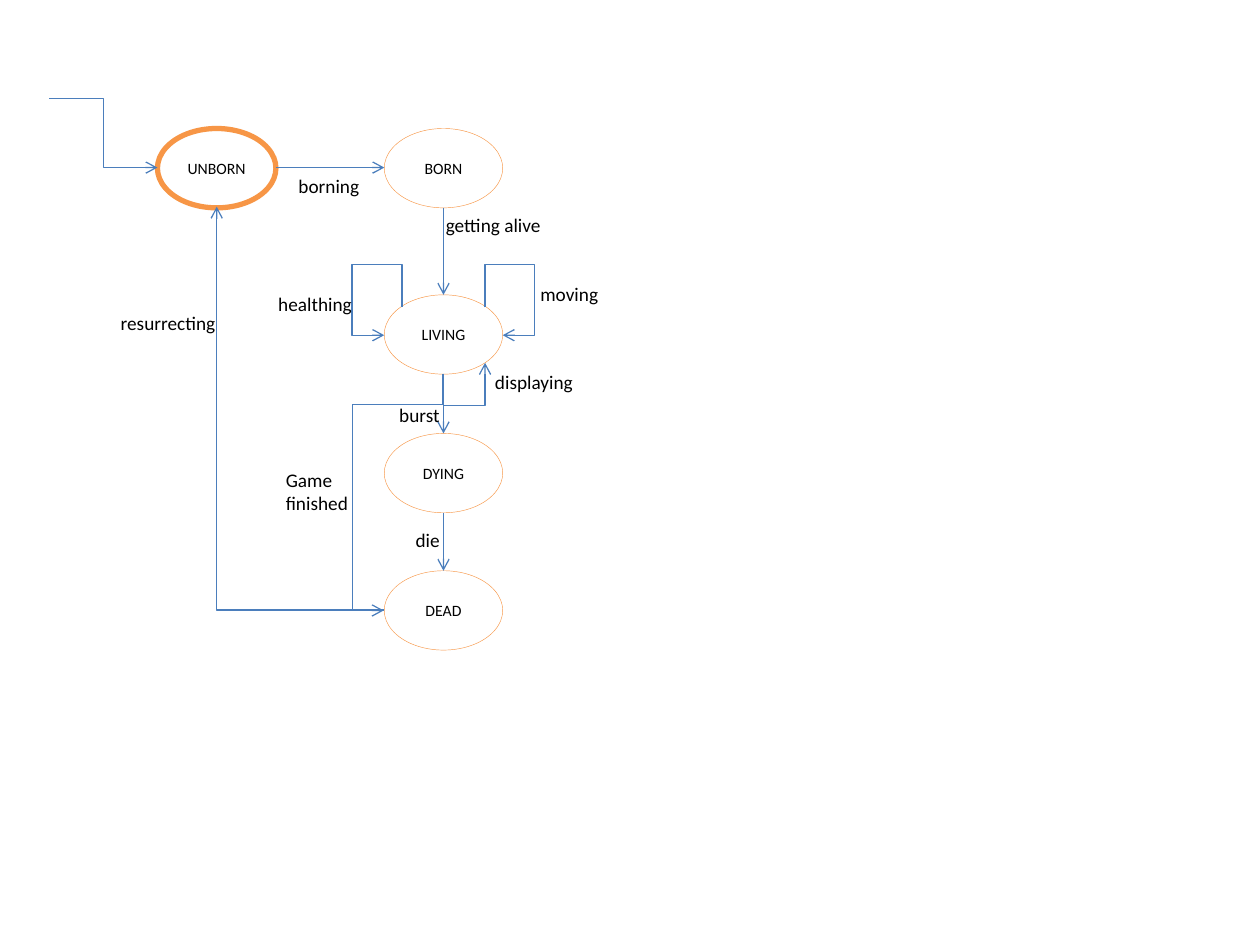
"""Build a state diagram slide of a creature's life cycle."""
from dataclasses import dataclass

import pptx
import pptx.dml.color
import pptx.enum.shapes
import pptx.enum.text
import pptx.oxml
import pptx.oxml.ns
import pptx.util
from lxml import etree

Inches = pptx.util.Inches
CONNECTOR = pptx.enum.shapes.MSO_CONNECTOR
ORANGE, BLUE, WHITE, BLACK = "F79646", "4B7EBC", "FFFFFF", "000000"
STATE_WIDTH, STATE_HEIGHT = 0.94, 0.63
LEFT_COLUMN, RIGHT_COLUMN = 1.25, 3.05
TOP_ROW, LIVING_ROW, DYING_ROW, DEAD_ROW = 1.02, 2.34, 3.44, 4.53
AXIS = RIGHT_COLUMN + STATE_WIDTH / 2


@dataclass
class State:
    """An ellipse naming one state."""
    name: str
    left: float
    top: float
    border: float = 0.25


@dataclass
class Arrow:
    """A straight transition between two points."""
    start: tuple[float, float]
    end: tuple[float, float]


@dataclass
class Elbow:
    """A bent transition given by its unrotated frame."""
    frame: tuple[float, float, float, float]
    preset: str = "bentConnector3"
    rotation: int = 0
    flips: str = ""
    bends: tuple[float, ...] = ()


@dataclass
class Label:
    """A transition caption."""
    text: str
    left: float
    top: float
    width: float
    height: float = 0.29


STATES = [
    State("UNBORN", LEFT_COLUMN, TOP_ROW, 3),
    State("BORN", RIGHT_COLUMN, TOP_ROW),
    State("LIVING", RIGHT_COLUMN, LIVING_ROW),
    State("DYING", RIGHT_COLUMN, DYING_ROW),
    State("DEAD", RIGHT_COLUMN, DEAD_ROW),
]
ARROWS = [Arrow((LEFT_COLUMN + STATE_WIDTH, 1.33), (RIGHT_COLUMN, 1.33))] + [
    Arrow((AXIS, upper + STATE_HEIGHT), (AXIS, lower))
    for upper, lower in [(TOP_ROW, LIVING_ROW), (LIVING_ROW, DYING_ROW), (DYING_ROW, DEAD_ROW)]
]
LOOP_BENDS = (-1.55, 2.82)
ELBOWS = [
    Elbow((0.39, 0.78, 0.86, 0.55), bends=(0.5,)),
    Elbow((1.72, 1.64, 1.33, 3.2), "bentConnector2", 180),
    Elbow((3.81, 2.48, 0.22, 0.14), "bentConnector4", 270, "H", LOOP_BENDS),
    Elbow((3.64, 2.76, 0.09, 0.33), "bentConnector3", 90, "HV", (-2.73,)),
    Elbow((3.01, 2.48, 0.22, 0.14), "bentConnector4", 270, "HV", LOOP_BENDS),
    Elbow((2.34, 3.67, 1.88, 0.47), "bentConnector4", 90, "", (0.13, 1.53)),
]
LABELS = [
    Label("borning", 2.27, 1.33, 0.69),
    Label("getting alive", 3.44, 1.64, 0.97),
    Label("moving", 4.19, 2.19, 0.66),
    Label("displaying", 3.83, 2.89, 0.82),
    Label("healthing", 2.11, 2.27, 0.79),
    Label("burst", 3.07, 3.15, 0.53),
    Label("die", 3.2, 4.14, 0.39),
    Label("resurrecting", 0.86, 2.42, 0.96),
    Label("Game\nfinished", 2.17, 3.67, 0.7, 0.47),
]


def color(value: str) -> pptx.dml.color.RGBColor:
    """Turn a hex string into a colour."""
    return pptx.dml.color.RGBColor.from_string(value)


def write_text(text_frame, text: str, *, size: float, align=None) -> None:
    """Write text, one paragraph per line, in the slide's font."""
    text_frame.text = text
    for paragraph in text_frame.paragraphs:
        paragraph.alignment = align
        for run in paragraph.runs:
            run.font.name = "Calibri"
            run.font.size = pptx.util.Pt(size)
            run.font.color.rgb = color(BLACK)


def set_line(line, value: str, width: float) -> None:
    """Set the colour and width of a line."""
    line.color.rgb = color(value)
    line.width = pptx.util.Pt(width)


def draw_state(slide, state: State) -> None:
    """Draw a state as a captioned ellipse."""
    shape = slide.shapes.add_shape(
        pptx.enum.shapes.MSO_SHAPE.OVAL, Inches(state.left), Inches(state.top),
        Inches(STATE_WIDTH), Inches(STATE_HEIGHT))
    shape.shadow.inherit = False
    shape.fill.solid()
    shape.fill.fore_color.rgb = color(WHITE)
    set_line(shape.line, ORANGE, state.border)
    shape.text_frame.vertical_anchor = pptx.enum.text.MSO_ANCHOR.MIDDLE
    write_text(shape.text_frame, state.name, size=9, align=pptx.enum.text.PP_ALIGN.CENTER)


def draw_connector(slide, kind, start: tuple[float, float], end: tuple[float, float]):
    """Draw a blue connector with an open arrowhead at its end."""
    connector = slide.shapes.add_connector(kind, *map(Inches, start + end))
    set_line(connector.line, BLUE, 0.75)
    properties = connector.element.spPr
    outline = properties.find(pptx.oxml.ns.qn("a:ln"))
    etree.SubElement(outline, pptx.oxml.ns.qn("a:tailEnd"), type="arrow")
    etree.SubElement(properties, pptx.oxml.ns.qn("a:effectLst"))
    return connector


def draw_elbow(slide, elbow: Elbow) -> None:
    """Draw a bent connector with its turn, flips and bends."""
    left, top, width, height = elbow.frame
    connector = draw_connector(slide, CONNECTOR.ELBOW, (left, top), (left + width, top + height))
    properties = connector.element.spPr
    transform = properties.find(pptx.oxml.ns.qn("a:xfrm"))
    transform.set("rot", str(elbow.rotation * 60000))
    for axis in elbow.flips:
        transform.set(f"flip{axis}", "1")
    geometry = properties.find(pptx.oxml.ns.qn("a:prstGeom"))
    geometry.set("prst", elbow.preset)
    adjustments = geometry.find(pptx.oxml.ns.qn("a:avLst"))
    for number, bend in enumerate(elbow.bends, 1):
        etree.SubElement(adjustments, pptx.oxml.ns.qn("a:gd"),
                         name=f"adj{number}", fmla=f"val {round(bend * 100000)}")


def draw_label(slide, label: Label) -> None:
    """Draw a transition caption."""
    box = slide.shapes.add_textbox(
        *map(Inches, (label.left, label.top, label.width, label.height)))
    box.text_frame.word_wrap = False
    box.text_frame.auto_size = pptx.enum.text.MSO_AUTO_SIZE.SHAPE_TO_FIT_TEXT
    write_text(box.text_frame, label.text, size=11)


def main() -> None:
    """Build and save the presentation."""
    presentation = pptx.Presentation()
    presentation.slide_width, presentation.slide_height = Inches(10), Inches(7.5)
    slide = presentation.slides.add_slide(presentation.slide_layouts[6])
    for state in STATES:
        draw_state(slide, state)
    for arrow in ARROWS:
        draw_connector(slide, CONNECTOR.STRAIGHT, arrow.start, arrow.end)
    for elbow in ELBOWS:
        draw_elbow(slide, elbow)
    for label in LABELS:
        draw_label(slide, label)
    presentation.save("out.pptx")


main()
